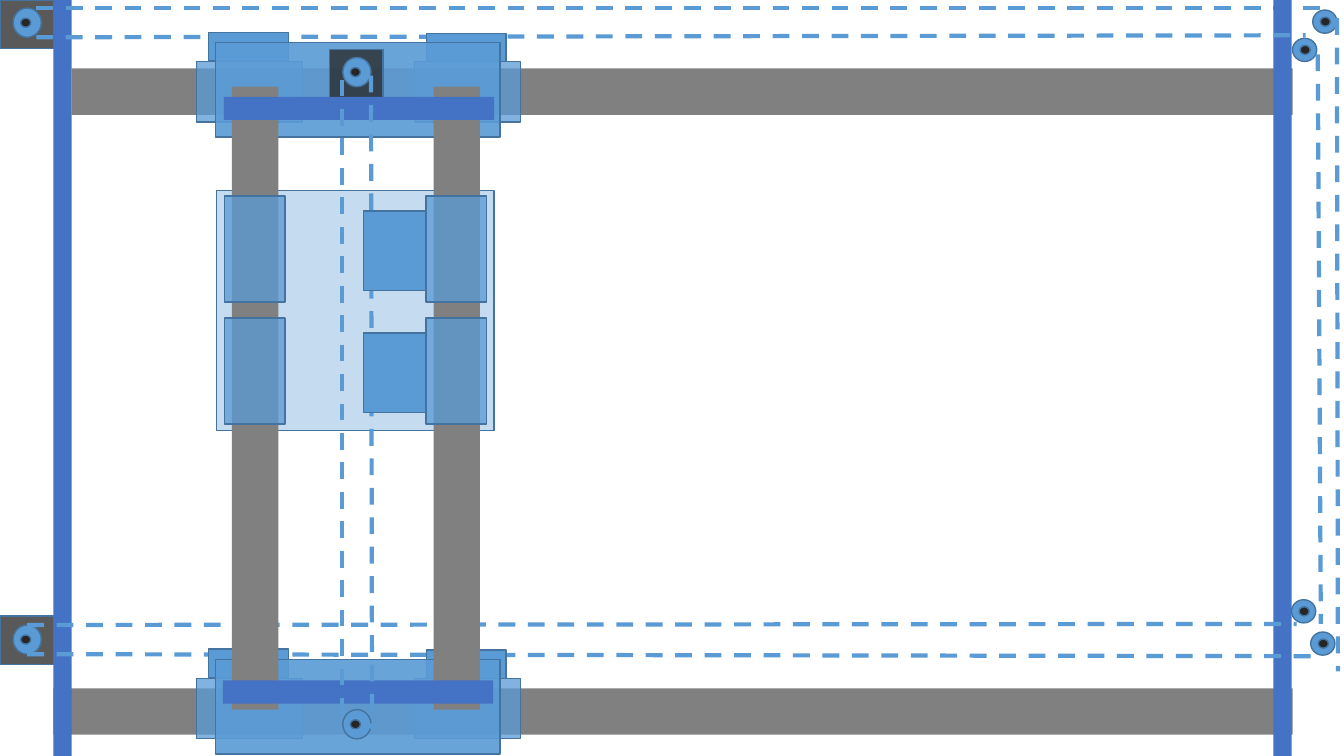
from dataclasses import dataclass
from typing import Optional, Union

from lxml.etree import SubElement
from pptx import Presentation
from pptx.dml.color import RGBColor
from pptx.enum.dml import MSO_LINE_DASH_STYLE as Dash
from pptx.enum.shapes import MSO_CONNECTOR as Conn, MSO_SHAPE as Geo
from pptx.oxml.ns import qn
from pptx.util import Inches, Pt

COLORS = {"blue": "5B9BD5", "edge": "43739E", "frame": "4472C4",
          "rail": "808080", "dark": "262626"}
COLS, ROWS = 1333, 750  # fine grid over the whole slide

prs = Presentation()
prs.slide_width, prs.slide_height = Inches(13.33), Inches(7.5)
s = prs.slides.add_slide(prs.slide_layouts[6])


@dataclass
class Part:
    """A filled shape, placed in grid columns and rows."""
    col: float
    row: float
    cols: float
    rows: float
    fill: str = "blue"
    opacity: int = 100
    edged: bool = True
    rot: int = 0
    geo: Geo = Geo.RECTANGLE


@dataclass
class Belt:
    """A dashed line between two grid points."""
    col1: float
    row1: float
    col2: float
    row2: float


Item = Union[Part, Belt]


def x(col: float) -> int:
    """Turn grid columns into a length."""
    return round(prs.slide_width * col / COLS)


def y(row: float) -> int:
    """Turn grid rows into a length."""
    return round(prs.slide_height * row / ROWS)


def rgb(name: str) -> RGBColor:
    """Look up a named colour."""
    return RGBColor.from_string(COLORS[name])


def draw_part(part: Part) -> None:
    """Draw one filled shape."""
    sp = s.shapes.add_shape(part.geo, x(part.col), y(part.row),
                            x(part.cols), y(part.rows))
    sp.shadow.inherit = False
    sp.rotation = part.rot
    sp.fill.solid()
    sp.fill.fore_color.rgb = rgb(part.fill)
    if part.opacity < 100:
        clr = sp.fill._xPr.find(qn("a:solidFill"))[0]
        SubElement(clr, qn("a:alpha"), val=str(part.opacity * 1000))
    if part.edged:
        sp.line.color.rgb = rgb("edge")
        sp.line.width = Pt(1)
    else:
        sp.line.fill.background()


def draw_belt(belt: Belt) -> None:
    """Draw one dashed belt run."""
    ln = s.shapes.add_connector(Conn.STRAIGHT, x(belt.col1), y(belt.row1),
                                x(belt.col2), y(belt.row2))
    ln.line.color.rgb = rgb("blue")
    ln.line.width = Pt(3)
    ln.line.dash_style = Dash.DASH
    SubElement(ln._element.spPr, qn("a:effectLst"))


def wheel(col: float, row: float, cols: float, rows: float,
          hub_row: float) -> list[Item]:
    """A pulley wheel with its dark hub."""
    return [Part(col, row, cols, rows, geo=Geo.OVAL),
            Part(col + 7.5, row + hub_row, 10, 9, "dark", geo=Geo.OVAL)]


def drive(col: float, row: float) -> list[Item]:
    """A large driven pulley."""
    return wheel(col, row, 28, 29, 10)


def idler(col: float, row: float) -> list[Item]:
    """A small free pulley."""
    return wheel(col, row, 24, 23, 7)


def motor(col: float, row: float, drop: float = 8) -> list[Item]:
    """A motor block carrying a drive pulley."""
    return [Part(col, row, 53, 48, "dark", 76), *drive(col + 13, row + drop)]


def bearing(col: float, row: float, rot: int = 0) -> Part:
    """A see-through linear bearing."""
    return Part(col, row, 105, 60, opacity=76, rot=rot)


def carriage(row: float) -> list[Item]:
    """An end carriage: two bearings, two tabs and the deck."""
    return [bearing(195, row + 29), bearing(411, row + 29),
            Part(423, row + 1, 79, 28), Part(207, row, 79, 28),
            Part(214, row + 10, 282, 94, opacity=91)]


def bar(col: float, row: float, cols: float, rows: float,
        fill: str, rot: int = 0) -> Part:
    """A rail or frame bar without an outline."""
    return Part(col, row, cols, rows, fill, edged=False, rot=rot)


def tool_row(row: float) -> list[Item]:
    """Two upright bearings and the block beside them."""
    return [bearing(200, row, 90), bearing(400, row, 90),
            Part(352, row + 1, 79, 62, rot=90)]


def draw(items: list[Item]) -> None:
    """Draw everything from back to front."""
    for item in items:
        if isinstance(item, Belt):
            draw_belt(item)
        else:
            draw_part(item)


tool_plate = [Part(215, 189, 275, 238, opacity=35)]
long_rails = [bar(71, 68, 1211, 46, "rail"), bar(53, 683, 1229, 46, "rail")]
left_end = [bar(53, 0, 18, ROWS, "frame"), *motor(0, 0), *motor(0, 611, 9)]
top_belts = [Belt(36, 8, 1316, 8), *idler(1302, 10),
             bar(1263, 0, 18, ROWS, "frame"),
             Belt(36, 37, 1295, 35), *idler(1282, 38)]
bottom_belts = [Belt(27, 649, 1312, 651), *idler(1281, 595),
                *idler(1300, 627), Belt(27, 620, 1286, 619)]
side_belts = [Belt(1307, 54, 1310, 619), Belt(1326, 18, 1327, 666)]
carriages = [*carriage(32), *motor(327, 49), *carriage(644), *drive(340, 704)]
cross_rails = [bar(col, 372, 618, 46, "rail", 90) for col in (-56, 144)]
cross_bars = [bar(222, 96, 268, 23, "frame", 180),
              bar(221, 675, 268, 23, "frame", 180)]
cross_belts = [Belt(339, 79, 339, 718), Belt(368, 75, 369, 723)]

draw(tool_plate + long_rails + left_end + top_belts + bottom_belts
     + side_belts + carriages + cross_rails + cross_bars + cross_belts
     + tool_row(217) + tool_row(338))

prs.save("out.pptx")
